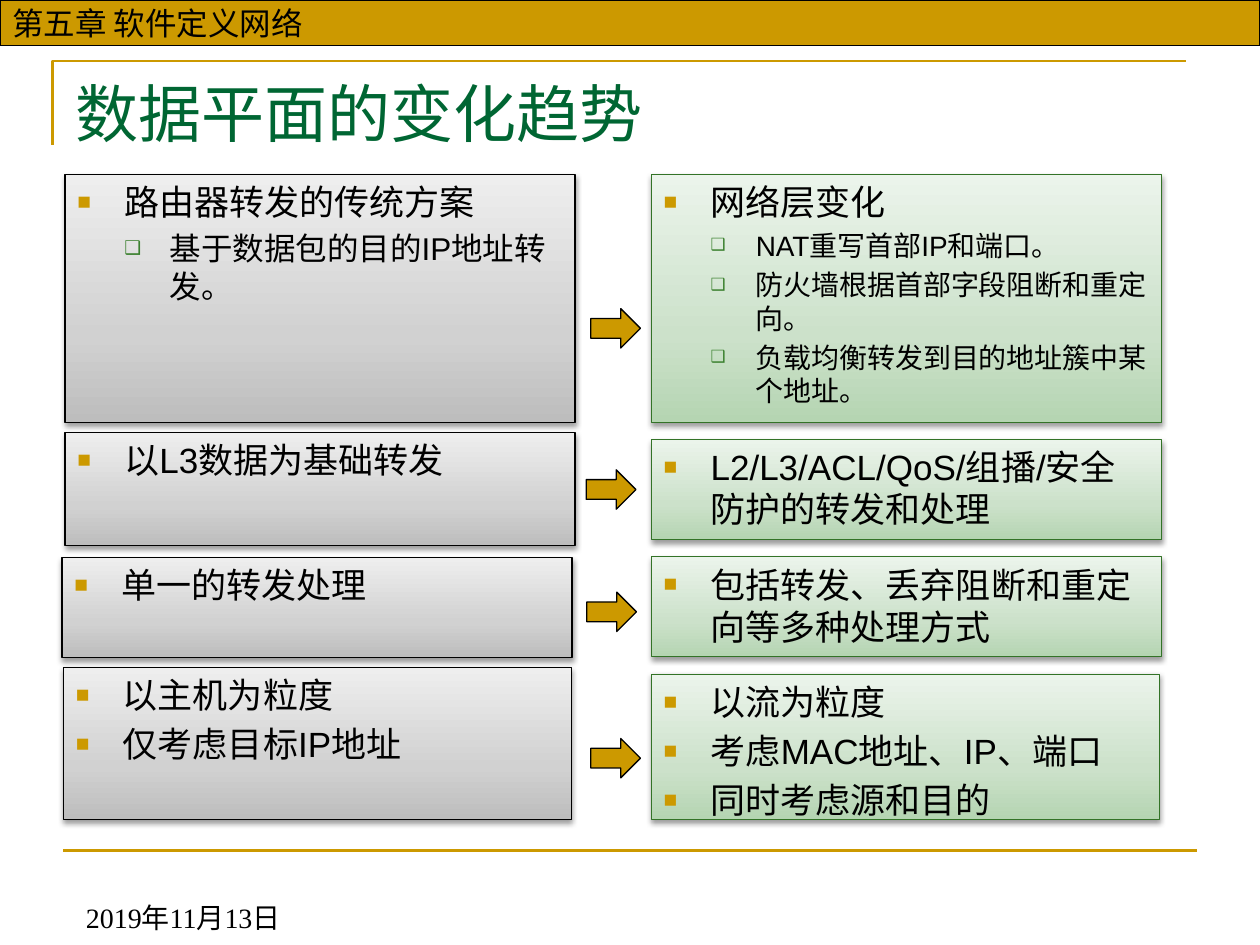
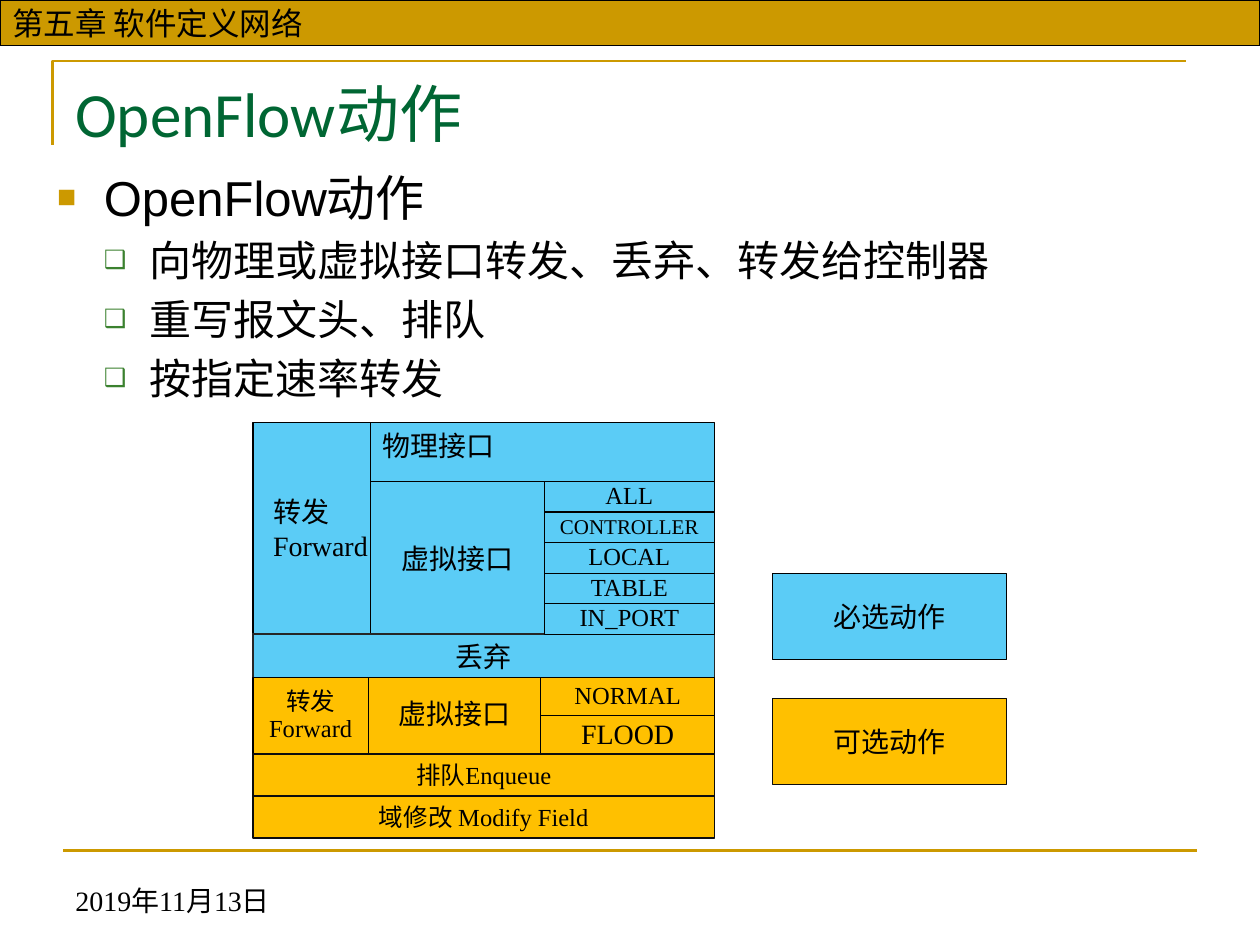
"""Build two slides on data plane trends and OpenFlow actions."""
from dataclasses import dataclass

from lxml import etree
from pptx import Presentation
from pptx import util as u
from pptx.dml import color
from pptx.enum import shapes, text
from pptx.oxml import ns

Pt = u.Pt
CENTER = text.PP_ALIGN.CENTER
LEFT = text.PP_ALIGN.LEFT
TOP = text.MSO_ANCHOR.TOP
MIDDLE = text.MSO_ANCHOR.MIDDLE
BOTTOM = text.MSO_ANCHOR.BOTTOM
INSETS = (7.2, 3.6, 7.2, 3.6)


@dataclass(frozen=True)
class Theme:
    gold: str = "CC9900"
    green: str = "006633"
    black: str = "000000"
    sub_bullet: str = "3B812F"
    required: str = "5BCCF6"
    optional: str = "FFC000"
    drop_edge: str = "262626"
    optional_edge: str = "0D0D0D"
    old_edge: str = "000000"
    new_edge: str = "337327"
    old_stops: tuple = ("BDBDBD", "D1D1D1", "EEEEEE")
    new_stops: tuple = ("B5D5B2", "CCE1CA", "EBF4EB")
    sans: str = "Arial"
    title_font: str = "Calibri"
    serif: str = "Times New Roman"
    legend_font: str = "Noto Sans CJK SC"
    title_size: int = 36
    band_size: int = 18
    card_size: int = 20
    label_size: int = 16
    port_size: int = 14
    small_size: int = 12
    thin: float = 0.75
    rule: float = 1.5


THEME = Theme()


def apply(target, values):
    """Set each named attribute of the target."""
    for name, value in values.items():
        setattr(target, name, value)


def rgb(code):
    """Turn a hex code into a colour."""
    return color.RGBColor.from_string(code)


def add_xml(parent, tag, **attributes):
    """Append a DrawingML element and return it."""
    values = {name: str(value) for name, value in attributes.items()}
    return etree.SubElement(parent, ns.qn("a:" + tag), values)


def set_line(shape, code, width):
    """Give an outline its colour and width."""
    shape.line.color.rgb = rgb(code)
    shape.line.width = Pt(width)


def set_frame(shape, anchor=TOP, insets=INSETS):
    """Prepare the text frame of a shape."""
    frame = shape.text_frame
    sides = ("margin_left", "margin_top", "margin_right", "margin_bottom")
    apply(frame, {"word_wrap": True, "vertical_anchor": anchor})
    apply(frame, {side: Pt(inset) for side, inset in zip(sides, insets)})
    return frame


def add_paragraph(frame, index, words, size, font, code=THEME.black, **layout):
    """Write one paragraph of a frame."""
    paragraph = frame.add_paragraph() if index else frame.paragraphs[0]
    apply(paragraph, layout)
    run = paragraph.add_run()
    run.text = words
    apply(run.font, {"size": Pt(size), "name": font})
    run.font.color.rgb = rgb(code)
    return paragraph


def add_label(slide, box, words, size, font, code=THEME.black, anchor=TOP):
    """Place a line of free text."""
    label = slide.shapes.add_textbox(*map(Pt, box))
    add_paragraph(set_frame(label, anchor), 0, words, size, font, code)


def add_block(slide, box, fill, edge=THEME.black, kind=shapes.MSO_SHAPE.RECTANGLE):
    """Place a flat filled shape."""
    block = slide.shapes.add_shape(kind, *map(Pt, box))
    block.shadow.inherit = False
    block.fill.solid()
    block.fill.fore_color.rgb = rgb(fill)
    set_line(block, edge, THEME.thin)
    return block


def add_cell(slide, box, lines, fill, size=THEME.label_size, font=THEME.serif,
             edge=THEME.black, anchor=MIDDLE, insets=INSETS, align=CENTER, spacing=1.0):
    """Place a filled block with lines of text."""
    frame = set_frame(add_block(slide, box, fill, edge), anchor, insets)
    for index, words in enumerate(lines.split("\n")):
        add_paragraph(frame, index, words, size, font, alignment=align, line_spacing=spacing)


def add_bullets(frame, items):
    """Write (level, size, words) items as a bulleted list."""
    styles = (("■", THEME.gold, 65, 26.8, -26.8), ("❑", THEME.sub_bullet, 60, 52.6, -25.8))
    for index, (level, size, words) in enumerate(items):
        mark, code, percent, margin, indent = styles[level]
        paragraph = add_paragraph(frame, index, words, size, THEME.sans, level=level,
                                  alignment=LEFT, space_before=Pt(0.2 * size if index else 0))
        properties = paragraph._p.get_or_add_pPr()
        properties.set("marL", str(Pt(margin)))
        properties.set("indent", str(Pt(indent)))
        add_xml(add_xml(properties, "buClr"), "srgbClr", val=code)
        add_xml(properties, "buSzPct", val=percent * 1000)
        add_xml(properties, "buFont", typeface=THEME.sans)
        add_xml(properties, "buChar", char=mark)


def add_card(slide, box, items, stops, edge):
    """Place a gradient card with a soft shadow and bullets."""
    card = add_block(slide, box, stops[0], edge)
    properties = card._element.spPr
    gradient = etree.Element(ns.qn("a:gradFill"), rotWithShape="1")
    stop_list = add_xml(gradient, "gsLst")
    for position, code in zip((0, 35, 100), stops):
        add_xml(add_xml(stop_list, "gs", pos=position * 1000), "srgbClr", val=code)
    add_xml(gradient, "lin", ang=270 * 60000, scaled=0)
    properties.replace(properties.find(ns.qn("a:solidFill")), gradient)
    shadow = add_xml(properties.find(ns.qn("a:effectLst")), "outerShdw", blurRad=Pt(3.1),
                     dist=Pt(1.6), dir=90 * 60000, rotWithShape=0)
    add_xml(add_xml(shadow, "srgbClr", val=THEME.black), "alpha", val=38000)
    add_bullets(set_frame(card), items)


def add_page(deck, title, date_left, date_top):
    """Add a slide with the shared band, rules, title and date."""
    slide = deck.slides.add_slide(deck.slide_layouts[6])
    builder = slide.shapes.build_freeform(Pt(30), Pt(82.8))
    builder.add_line_segments([(Pt(30), Pt(34.8)), (Pt(678), Pt(34.8))], close=False)
    corner = builder.convert_to_shape()
    corner.shadow.inherit = False
    corner.fill.background()
    set_line(corner, THEME.gold, THEME.rule)
    footer_rule = slide.shapes.add_connector(
        shapes.MSO_CONNECTOR.STRAIGHT, Pt(36), Pt(486), Pt(684), Pt(486))
    set_line(footer_rule, THEME.gold, THEME.rule)
    add_xml(footer_rule._element.spPr, "effectLst")
    add_cell(slide, (0, 0, 720, 26), "第五章 软件定义网络", THEME.gold,
             THEME.band_size, THEME.sans, align=LEFT)
    add_label(slide, (date_left, date_top, 168, 36), "2019年11月13日",
              THEME.label_size, THEME.serif, anchor=BOTTOM)
    add_label(slide, (36, 39, 648, 55.5), title, THEME.title_size,
              THEME.title_font, THEME.green)
    return slide


def build_trends(deck):
    """Compare the old and new data plane row by row."""
    slide = add_page(deck, "数据平面的变化趋势", 42, 501.3)
    main = THEME.card_size
    comparisons = (
        ((37.2, 99.8, 291.5, 141.8),
         [(0, main, "路由器转发的传统方案"), (1, 18, "基于数据包的目的IP地址转发。")],
         (337.6, 176.4),
         (372.2, 99.8, 291.5, 141.8),
         [(0, main, "网络层变化"), (1, 16, "NAT重写首部IP和端口。"),
          (1, 16, "防火墙根据首部字段阻断和重定向。"),
          (1, 16, "负载均衡转发到目的地址簇中某个地址。")]),
        ((37.2, 247.2, 291.5, 64.5), [(0, main, "以L3数据为基础转发")],
         (335, 268.5),
         (372.2, 251.3, 291.5, 56.9), [(0, main, "L2/L3/ACL/QoS/组播/安全防护的转发和处理")]),
        ((35.4, 318.7, 291.5, 56.9), [(0, main, "单一的转发处理")],
         (335.3, 338.4),
         (372.2, 318.2, 291.5, 56.9), [(0, main, "包括转发、丢弃阻断和重定向等多种处理方式")]),
        ((36.3, 381.4, 290.4, 87), [(0, main, "以主机为粒度"), (0, main, "仅考虑目标IP地址")],
         (337.6, 422),
         (372.2, 385.3, 290.4, 83),
         [(0, main, "以流为粒度"), (0, main, "考虑MAC地址、IP、端口"), (0, main, "同时考虑源和目的")]),
    )
    for old_box, old_items, arrow, new_box, new_items in comparisons:
        add_card(slide, old_box, old_items, THEME.old_stops, THEME.old_edge)
        add_block(slide, (*arrow, 28.4, 22.5), THEME.gold, kind=shapes.MSO_SHAPE.RIGHT_ARROW)
        add_card(slide, new_box, new_items, THEME.new_stops, THEME.new_edge)


def build_actions(deck):
    """Show required and optional OpenFlow actions."""
    slide = add_page(deck, "OpenFlow动作", 36, 491.8)
    left, width = 144.6, 263.7
    port_size, required, optional = THEME.port_size, THEME.required, THEME.optional
    add_cell(slide, (left, 241.5, 68, 120.7), "转发\nForward", required,
             insets=(11.5, 0, 0, 0), align=LEFT)
    add_cell(slide, (211.6, 241.5, 196.7, 33.7), "物理接口", required, anchor=TOP, align=LEFT)
    add_cell(slide, (211.6, 275.2, 99.4, 87.2), "虚拟接口", required, insets=(3.6,) * 4)
    add_cell(slide, (left, 362.3, width, 25), "丢弃", required, edge=THEME.drop_edge)
    ports = ("ALL", "CONTROLLER", "LOCAL", "TABLE", "IN_PORT")
    for row, port in enumerate(ports):
        size = THEME.small_size if port == "CONTROLLER" else port_size
        add_cell(slide, (311, 275.2 + 17.45 * row, 97.3, 17.45), port, required, size, spacing=0.9)
    for row, (port, size) in enumerate((("NORMAL", port_size), ("FLOOD", THEME.label_size))):
        add_cell(slide, (309, 387 + 22 * row, 99.3, 22), port, optional, size, spacing=0.9)
    add_cell(slide, (210.5, 387.2, 98.5, 43.7), "虚拟接口", optional, spacing=0.9)
    add_cell(slide, (left, 387.2, 65.9, 43.7), "转发\nForward", optional, port_size, spacing=0.9)
    for row, action in enumerate(("排队Enqueue", "域修改 Modify Field")):
        add_cell(slide, (left, 430.9 + 24 * row, width, 24), action, optional, port_size,
                 edge=THEME.optional_edge, insets=(0,) * 4)
    legend = (("必选动作", required, THEME.black), ("可选动作", optional, THEME.optional_edge))
    for row, (meaning, fill, edge) in enumerate(legend):
        add_cell(slide, (441.3, 327.6 + 71.4 * row, 134, 49.5), meaning, fill,
                 font=THEME.legend_font, edge=edge)
    summary = slide.shapes.add_textbox(*map(Pt, (25.5, 92.2, 658.8, 149)))
    add_bullets(set_frame(summary), [
        (0, 28, "OpenFlow动作"),
        (1, 24, "向物理或虚拟接口转发、丢弃、转发给控制器"),
        (1, 24, "重写报文头、排队"),
        (1, 24, "按指定速率转发"),
    ])


def main():
    """Create the deck and save it."""
    deck = Presentation()
    apply(deck, {"slide_width": Pt(720), "slide_height": Pt(540)})
    build_trends(deck)
    build_actions(deck)
    deck.save("out.pptx")


if __name__ == "__main__":
    main()
